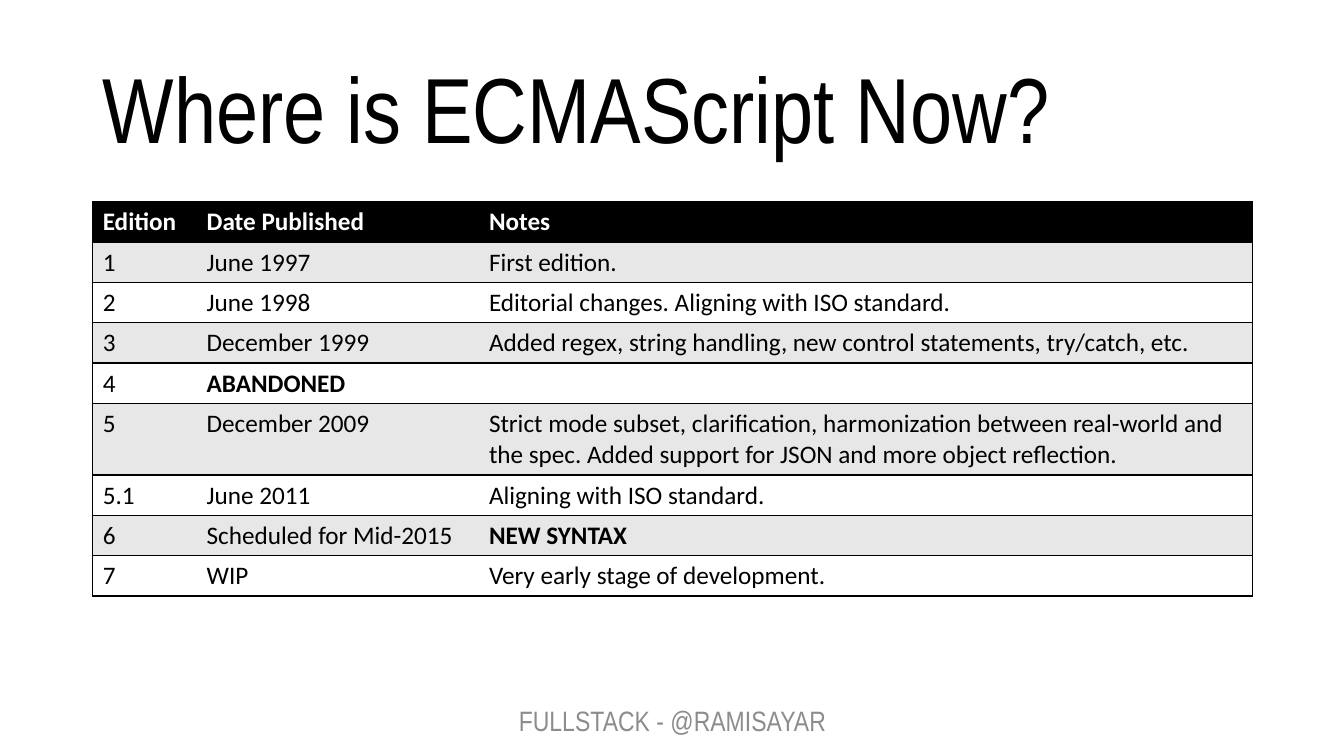
"""Build the slide on the editions of ECMAScript."""
from lxml import etree
from pptx import Presentation
from pptx.dml.color import RGBColor
from pptx.enum import text
from pptx.oxml import ns
from pptx.util import Inches, Pt

BLACK = RGBColor(0x00, 0x00, 0x00)
WHITE = RGBColor(0xFF, 0xFF, 0xFF)
BAND = RGBColor(0xE7, 0xE7, 0xE7)
GRAY = RGBColor(0x8C, 0x8C, 0x8C)

LABELS = [
    ("Where is ECMAScript Now?", (0.92, 0.4, 11.5, 1.45),
     {"size": Pt(66), "name": "Arial Narrow"}, BLACK,
     {"alignment": text.PP_ALIGN.LEFT, "line_spacing": 0.9}),
    ("FULLSTACK - @RAMISAYAR", (4.42, 6.95, 4.5, 0.4),
     {"size": Pt(20), "name": "Arial Narrow"}, GRAY,
     {"alignment": text.PP_ALIGN.CENTER}),
]
EDITIONS = [
    ("Edition", "Date Published", "Notes"),
    ("1", "June 1997", "First edition."),
    ("2", "June 1998", "Editorial changes. Aligning with ISO standard."),
    ("3", "December 1999",
     "Added regex, string handling, new control statements, try/catch, etc."),
    ("4", "ABANDONED", ""),
    ("5", "December 2009",
     "Strict mode subset, clarification, harmonization between real-world and "
     "the spec. Added support for JSON and more object reflection."),
    ("5.1", "June 2011", "Aligning with ISO standard."),
    ("6", "Scheduled for Mid-2015", "NEW SYNTAX"),
    ("7", "WIP", "Very early stage of development."),
]
EMPHASIS = {"ABANDONED", "NEW SYNTAX"}
LEFT, TOP, WIDTH = 0.92, 2, 11.5
COL_WIDTHS = (1.03, 2.8, 7.67)
ROW_HEIGHT, TALL_ROW_HEIGHT, TALL_ROW = 0.4, 0.71, 5


def set_attrs(obj, values):
    for name, value in values.items():
        setattr(obj, name, value)


def add_run(p, content, font, color):
    r = p.add_run()
    r.text = content
    set_attrs(r.font, font)
    r.font.color.rgb = color


def add_label(slide, content, box, font, color, para):
    tf = slide.shapes.add_textbox(*map(Inches, box)).text_frame
    set_attrs(tf, {"word_wrap": True, "vertical_anchor": text.MSO_ANCHOR.MIDDLE})
    p = tf.paragraphs[0]
    set_attrs(p, para)
    add_run(p, content, font, color)


def set_borders(cell, sides):
    tc_pr = cell._tc.get_or_add_tcPr()
    for i, side in enumerate("LRTB"):
        ln = etree.Element(ns.qn(f"a:ln{side}"), w=str(Pt(1)))
        if side in sides:
            fill = etree.SubElement(ln, ns.qn("a:solidFill"))
            etree.SubElement(fill, ns.qn("a:srgbClr"), val=str(BLACK))
        else:
            etree.SubElement(ln, ns.qn("a:noFill"))
        tc_pr.insert(i, ln)


def add_editions(slide):
    heights = [TALL_ROW_HEIGHT if i == TALL_ROW else ROW_HEIGHT
               for i in range(len(EDITIONS))]
    box = map(Inches, (LEFT, TOP, WIDTH, sum(heights)))
    table = slide.shapes.add_table(len(EDITIONS), len(COL_WIDTHS), *box).table
    for col, width in zip(table.columns, COL_WIDTHS):
        col.width = Inches(width)
    for i, (row, height) in enumerate(zip(table.rows, heights)):
        row.height = Inches(height)
        header = i == 0
        fill = BLACK if header else BAND if i % 2 else WHITE
        for j, (cell, content) in enumerate(zip(row.cells, EDITIONS[i])):
            cell.fill.solid()
            cell.fill.fore_color.rgb = fill
            set_borders(cell, ("LTB", "TB", "RTB")[j])
            p = cell.text_frame.paragraphs[0]
            p.font.size = Pt(18)
            if content:
                font = {"size": Pt(18), "name": "Calibri",
                        "bold": header or content in EMPHASIS}
                add_run(p, content, font, WHITE if header else BLACK)


def main():
    prs = Presentation()
    set_attrs(prs, {"slide_width": Inches(13.33), "slide_height": Inches(7.5)})
    s = prs.slides.add_slide(prs.slide_layouts[6])
    for label in LABELS:
        add_label(s, *label)
    add_editions(s)
    prs.save("out.pptx")


if __name__ == "__main__":
    main()
